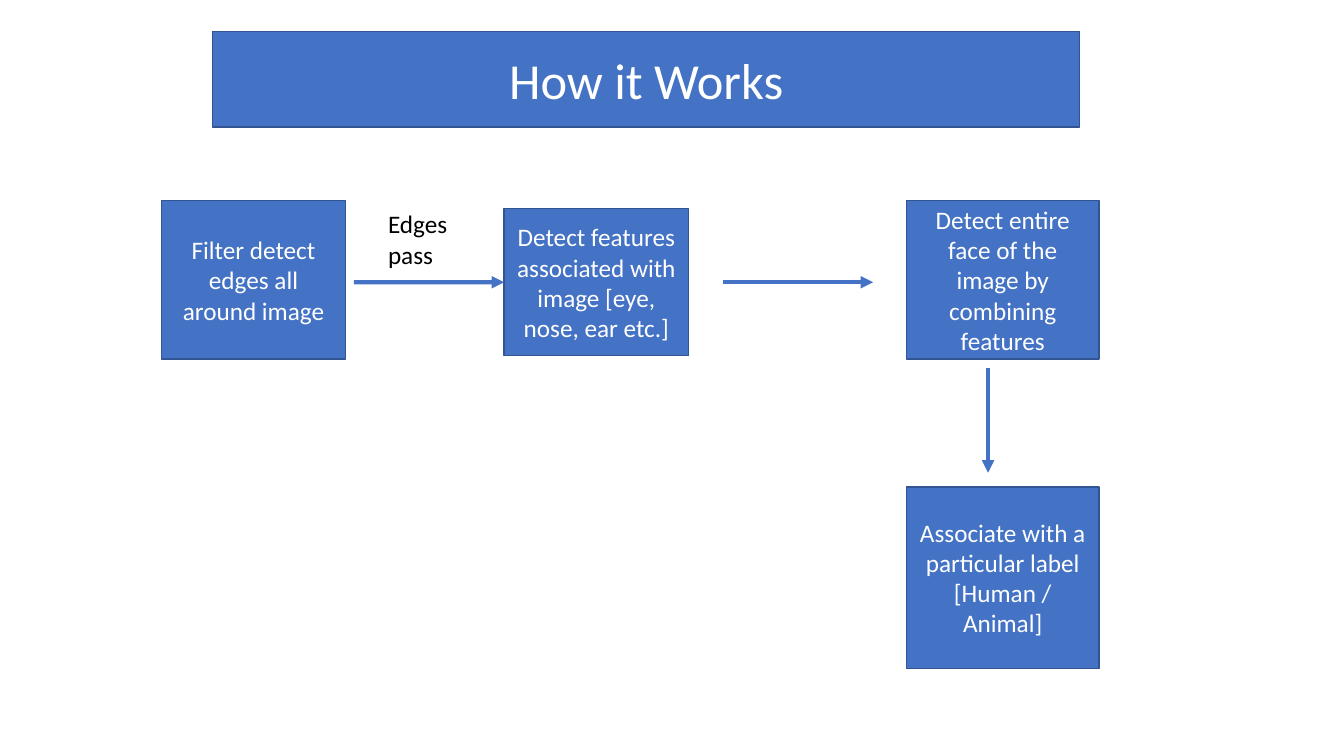
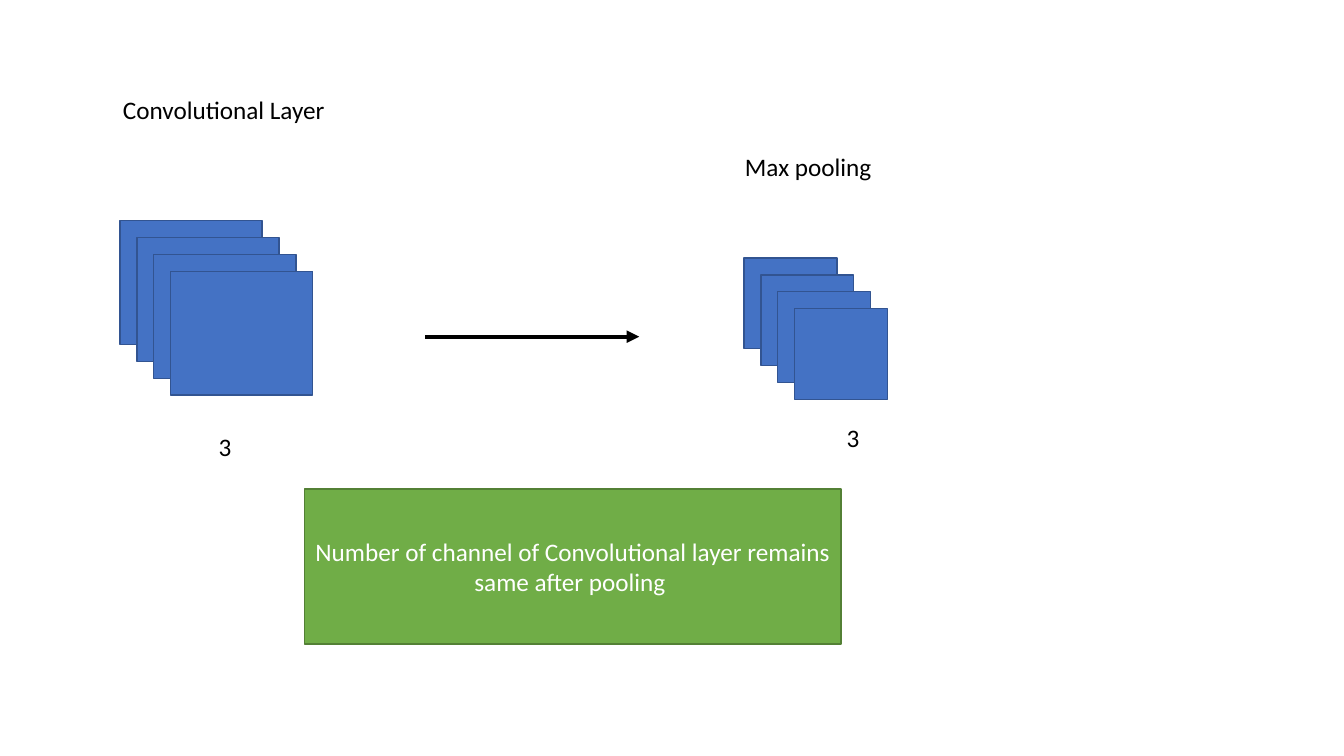
from lxml.etree import SubElement
from pptx import Presentation
from pptx.dml.color import RGBColor
from pptx.enum.shapes import MSO_CONNECTOR, MSO_SHAPE
from pptx.enum.text import MSO_ANCHOR, MSO_AUTO_SIZE, PP_ALIGN
from pptx.oxml.ns import qn
from pptx.util import Inches, Pt

BLUE = RGBColor(0x44, 0x72, 0xC4)
DARK_BLUE = RGBColor(0x32, 0x54, 0x91)
GREEN = RGBColor(0x70, 0xAD, 0x47)
DARK_GREEN = RGBColor(0x53, 0x80, 0x35)
WHITE = RGBColor(0xFF, 0xFF, 0xFF)
BLACK = RGBColor(0x00, 0x00, 0x00)
FONT = "Calibri"
BODY_SIZE = 18
TITLE_SIZE = 36
LEFT_SIDE = 1
LAYER_COUNT = 4
LAYER_STEP = 0.167
ARROW_Y = 2.8


def add_span(para, text, size, color):
    span = para.add_run()
    span.text = text
    span.font.name = FONT
    span.font.size = Pt(size)
    span.font.color.rgb = color


def add_box(page, left, top, width, height, text="", size=BODY_SIZE,
            fill=BLUE, outline=DARK_BLUE):
    box = page.shapes.add_shape(
        MSO_SHAPE.FLOWCHART_PROCESS,
        Inches(left), Inches(top), Inches(width), Inches(height))
    box.shadow.inherit = False
    box.fill.solid()
    box.fill.fore_color.rgb = fill
    box.line.color.rgb = outline
    box.line.width = Pt(1)
    if text:
        frame = box.text_frame
        frame.word_wrap = True
        frame.vertical_anchor = MSO_ANCHOR.MIDDLE
        para = frame.paragraphs[0]
        para.alignment = PP_ALIGN.CENTER
        add_span(para, text, size, WHITE)
    return box


def add_label(page, left, top, width, height, text):
    label = page.shapes.add_textbox(
        Inches(left), Inches(top), Inches(width), Inches(height))
    frame = label.text_frame
    frame.word_wrap = True
    frame.auto_size = MSO_AUTO_SIZE.SHAPE_TO_FIT_TEXT
    add_span(frame.paragraphs[0], text, BODY_SIZE, BLACK)


def add_arrow(page, start_x, start_y, end_x, end_y, color=BLUE):
    arrow = page.shapes.add_connector(
        MSO_CONNECTOR.STRAIGHT,
        Inches(start_x), Inches(start_y), Inches(end_x), Inches(end_y))
    arrow.line.color.rgb = color
    arrow.line.width = Pt(3)
    SubElement(arrow.line._get_or_add_ln(), qn("a:tailEnd"), type="triangle")
    SubElement(arrow._element.spPr, qn("a:effectLst"))
    return arrow


def add_layer_stack(page, left, top, width, height):
    for index in range(LAYER_COUNT):
        offset = index * LAYER_STEP
        add_box(page, left + offset, top + offset, width, height)


def build_process_page(page):
    add_box(page, 1.6, 1.99, 1.83, 1.57, "Filter detect edges all around image")
    features = add_box(page, 5, 2.07, 1.83, 1.46,
                       "Detect features associated with image [eye, nose, ear etc.]")
    add_box(page, 8.99, 1.99, 1.91, 1.57,
            "Detect entire face of the image by combining features")
    add_box(page, 8.99, 4.83, 1.91, 1.8,
            "Associate with a particular label [Human / Animal]")
    edges_arrow = add_arrow(page, 3.51, ARROW_Y, 5, ARROW_Y)
    edges_arrow.end_connect(features, LEFT_SIDE)
    add_arrow(page, 7.17, ARROW_Y, 8.66, ARROW_Y)
    add_arrow(page, 9.8, 3.65, 9.8, 4.69)
    add_box(page, 2.11, 0.31, 8.6, 0.95, "How it Works", TITLE_SIZE)
    add_label(page, 3.75, 2.02, 0.91, 0.71, "Edges pass")


def build_pooling_page(page):
    add_layer_stack(page, 1.19, 2.19, 1.41, 1.23)
    add_layer_stack(page, 7.38, 2.56, 0.92, 0.9)
    add_arrow(page, 4.22, 3.34, 6.34, 3.34, BLACK)
    add_label(page, 1.12, 0.89, 2.58, 0.4, "Convolutional Layer")
    add_label(page, 7.29, 1.45, 1.9, 0.4, "Max pooling")
    add_box(page, 3.02, 4.85, 5.32, 1.54,
            "Number of channel of Convolutional layer remains same after pooling ",
            fill=GREEN, outline=DARK_GREEN)
    add_label(page, 2.07, 4.23, 0.47, 0.4, "3")
    add_label(page, 8.3, 4.14, 0.47, 0.4, "3")


def main():
    deck = Presentation()
    deck.slide_width = Inches(13.33)
    deck.slide_height = Inches(7.5)
    blank = deck.slide_layouts[6]
    for build_page in (build_process_page, build_pooling_page):
        build_page(deck.slides.add_slide(blank))
    deck.save("out.pptx")


if __name__ == "__main__":
    main()
